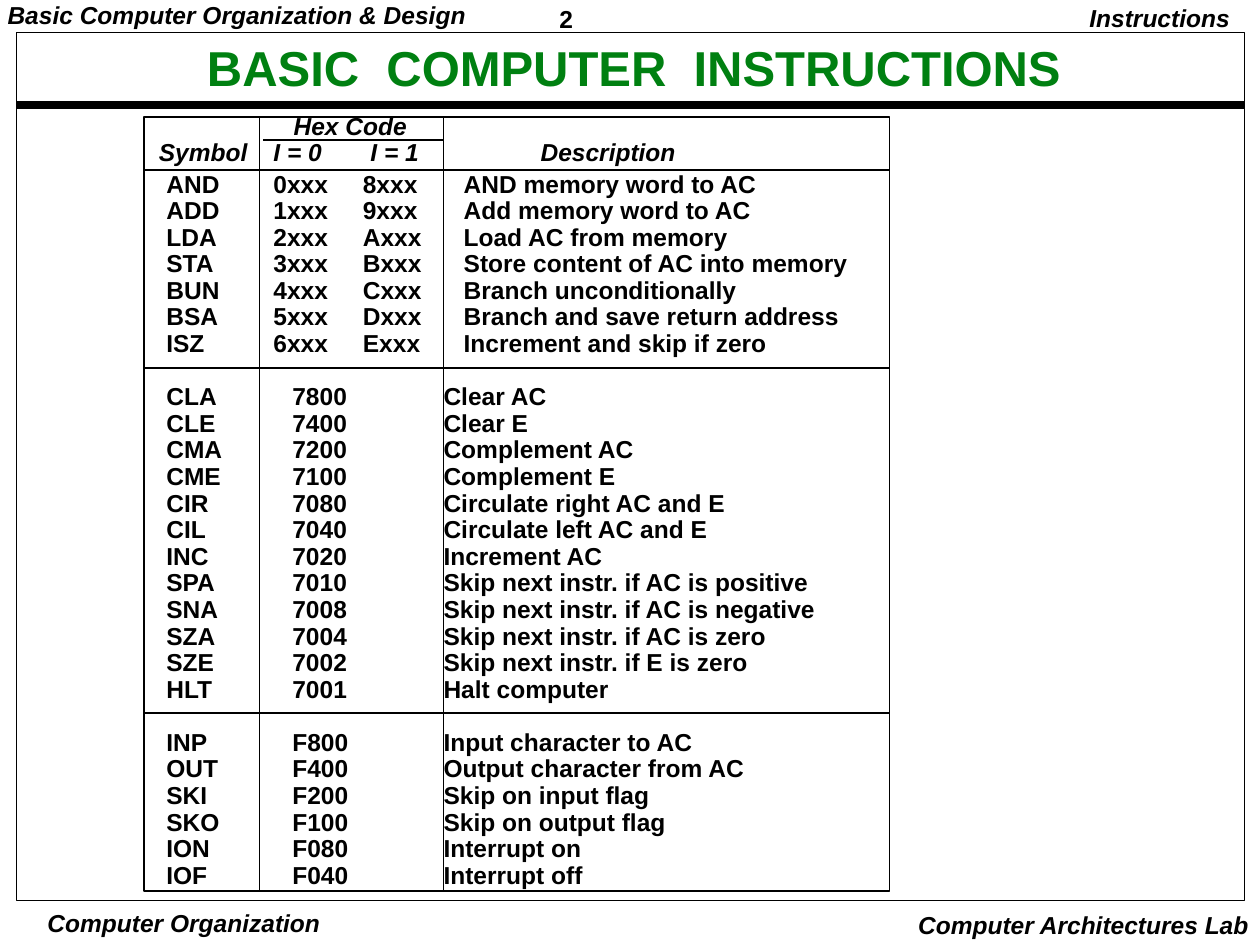
from lxml import etree
from pptx import Presentation
from pptx import util as u
from pptx.dml import color
from pptx.enum import shapes, text
from pptx.oxml import ns

COLORS = {"ink": "000000", "title": "008011"}
ALIGN = {"l": text.PP_ALIGN.LEFT, "c": text.PP_ALIGN.CENTER, "r": text.PP_ALIGN.RIGHT}
ITALIC = {"italic": True}
PITCH = 15.2

MEMORY = [
    ("AND", "0xxx", "8xxx", "AND memory word to AC"),
    ("ADD", "1xxx", "9xxx", "Add memory word to AC"),
    ("LDA", "2xxx", "Axxx", "Load AC from memory"),
    ("STA", "3xxx", "Bxxx", "Store content of AC into memory"),
    ("BUN", "4xxx", "Cxxx", "Branch unconditionally"),
    ("BSA", "5xxx", "Dxxx", "Branch and save return address"),
    ("ISZ", "6xxx", "Exxx", "Increment and skip if zero"),
]
REGISTER = [
    ("CLA", "7800", "Clear AC"),
    ("CLE", "7400", "Clear E"),
    ("CMA", "7200", "Complement AC"),
    ("CME", "7100", "Complement E"),
    ("CIR", "7080", "Circulate right AC and E"),
    ("CIL", "7040", "Circulate left AC and E"),
    ("INC", "7020", "Increment AC"),
    ("SPA", "7010", "Skip next instr. if AC is positive"),
    ("SNA", "7008", "Skip next instr. if AC is negative"),
    ("SZA", "7004", "Skip next instr. if AC is zero"),
    ("SZE", "7002", "Skip next instr. if E is zero"),
    ("HLT", "7001", "Halt computer"),
]
IO = [
    ("INP", "F800", "Input character to AC"),
    ("OUT", "F400", "Output character from AC"),
    ("SKI", "F200", "Skip on input flag"),
    ("SKO", "F100", "Skip on output flag"),
    ("ION", "F080", "Interrupt on"),
    ("IOF", "F040", "Interrupt off"),
]
GROUPS = [(MEMORY, (0.85, 1.56, 2.36)), (REGISTER, (1, 2.2)), (IO, (1, 2.2))]


def add_box(s, box, insets):
    tf = s.shapes.add_textbox(*map(u.Inches, box)).text_frame
    tf.word_wrap = True
    sides = ("margin_left", "margin_top", "margin_right", "margin_bottom")
    for side, inset in zip(sides, insets):
        setattr(tf, side, u.Inches(inset))
    return tf


def add_run(p, words, ink="ink", **style):
    r = p.add_run()
    r.text = words
    for name, value in {"name": "Arial", "size": u.Pt(14), "bold": True, **style}.items():
        setattr(r.font, name, value)
    r.font.color.rgb = color.RGBColor.from_string(COLORS[ink])
    return r


def add_row(tf, first, cells, tabs, pitch, before=0, **style):
    p = tf.paragraphs[0] if first else tf.add_paragraph()
    tab_list = etree.SubElement(p._p.get_or_add_pPr(), ns.qn("a:tabLst"))
    for tab in tabs:
        etree.SubElement(tab_list, ns.qn("a:tab"), pos=str(u.Inches(tab)), algn="l")
    p.line_spacing = u.Pt(pitch)
    p.space_before = u.Pt(before)
    add_run(p, "\t".join(cells), **style)


def add_line(s, x1, y1, x2, y2, width=1):
    line = s.shapes.add_connector(
        shapes.MSO_CONNECTOR.STRAIGHT, *map(u.Inches, (x1, y1, x2, y2)))
    line.line.color.rgb = color.RGBColor.from_string(COLORS["ink"])
    line.line.width = u.Pt(width)
    etree.SubElement(line._element.spPr, ns.qn("a:effectLst"))


def add_frame(s, box, width):
    frame = s.shapes.add_shape(shapes.MSO_SHAPE.RECTANGLE, *map(u.Inches, box))
    frame.shadow.inherit = False
    frame.fill.background()
    frame.line.color.rgb = color.RGBColor.from_string(COLORS["ink"])
    frame.line.width = u.Pt(width)


def add_label(s, box, words, align, inset, spacing, **style):
    p = add_box(s, box, inset * 2).paragraphs[0]
    p.alignment = ALIGN[align]
    p.line_spacing = spacing
    add_run(p, words, **style)


def add_page_frame(s, box):
    x, y, w, h = box
    add_label(s, (x + 4.24, 0, 1.08, 0.29), "2", "l", (0.07, 0.03), 1.01)
    add_label(s, (x - 0.14, 0, 3.9, 0.27), "Basic Computer Organization & Design",
              "l", (0.07, 0.03), 0.9, **ITALIC)
    add_label(s, (x + 8.32, 0, 1.41, 0.31), "Instructions", "r", (0.1, 0.05), 0.9, **ITALIC)
    bottom = y + h
    add_label(s, (x + 0.18, bottom + 0.05, 2.3, 0.26), "Computer Organization",
              "c", (0.03, 0.01), 1.0, **ITALIC)
    add_label(s, (x + 6.97, bottom + 0.02, 2.91, 0.33), "Computer Architectures Lab",
              "r", (0.1, 0.05), 1.0, **ITALIC)
    add_line(s, x, y + 0.57, x + w, y + 0.57, 4.5)
    add_frame(s, box, 0.5)


def add_title(s, box):
    p = add_box(s, box, (0.07, 0.03) * 2).paragraphs[0]
    p.alignment = ALIGN["c"]
    p.line_spacing = 0.87
    style = {"ink": "title", "size": u.Pt(28)}
    for i, word in enumerate(("BASIC", "COMPUTER", "INSTRUCTIONS")):
        if i:
            gap = add_run(p, " ", **style)
            gap._r.get_or_add_rPr().set("spc", "780")
        add_run(p, word, **style)


def add_instruction_table(s, box):
    x, y, w, h = box
    add_frame(s, box, 1)
    head = add_box(s, (x + 0.05, y - 0.05, w - 0.1, 0.48), (0.07, 0.03) * 2)
    add_row(head, True, ("", "Hex Code"), (1.07,), 14.9, **ITALIC)
    add_row(head, False, ("Symbol", "I = 0", "I = 1", "Description"),
            (0.91, 1.68, 3.03), 14.9, **ITALIC)

    body = add_box(s, (x - 0.54, y + 0.41, 6.45, 5.96), (0.72, 0.02, 0.1, 0.05))
    first = True
    for rows, tabs in GROUPS:
        for i, cells in enumerate(rows):
            before = PITCH if i == 0 and not first else 0
            add_row(body, first, cells, tabs, PITCH, before)
            first = False

    for dy in (0.42, 1.99, 4.73):
        add_line(s, x, y + dy, x + w, y + dy)
    add_line(s, x + 0.95, y + 0.18, x + 2.38, y + 0.18)
    for dx in (0.92, 2.38):
        add_line(s, x + dx, y, x + dx, y + h, 0.75)


def main():
    prs = Presentation()
    prs.slide_width, prs.slide_height = u.Inches(10), u.Inches(7.5)
    s = prs.slides.add_slide(prs.slide_layouts[6])
    add_page_frame(s, (0.13, 0.26, 9.75, 6.89))
    add_title(s, (1.57, 0.33, 6.92, 0.46))
    add_instruction_table(s, (1.14, 0.93, 5.92, 6.14))
    prs.save("out.pptx")


if __name__ == "__main__":
    main()
